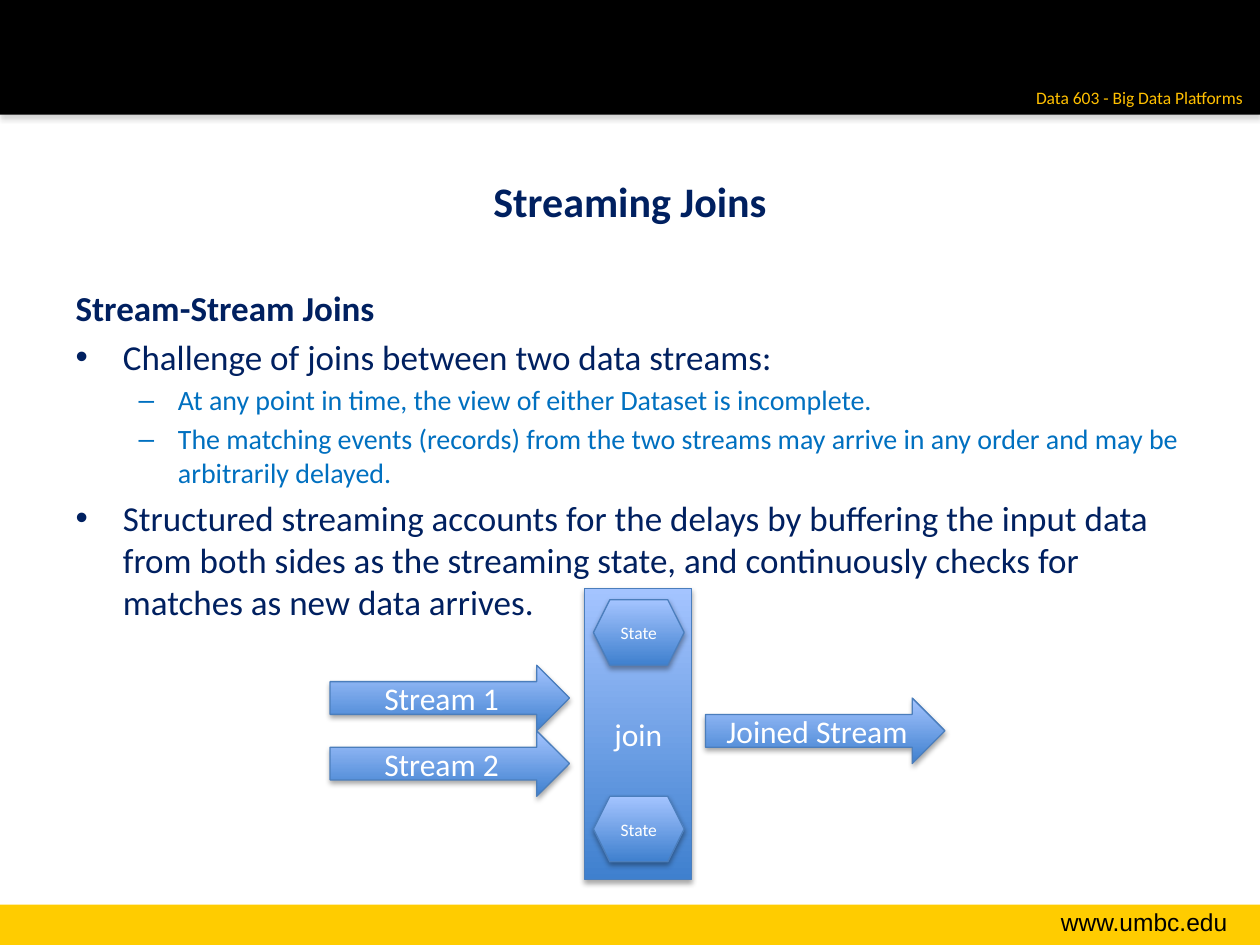
"""Build the Streaming Joins slide with its stream-stream join diagram."""
from lxml.etree import SubElement
from pptx import Presentation
from pptx.dml.color import RGBColor
from pptx.enum.shapes import MSO_SHAPE
from pptx.enum.text import MSO_ANCHOR, MSO_AUTO_SIZE, PP_ALIGN
from pptx.oxml.ns import qn
from pptx.util import Inches, Pt

COLORS = {
    "black": "000000", "white": "FFFFFF", "gold": "FFCC00", "amber": "FFC000",
    "navy": "002060", "blue": "0070C0", "outline": "4B7EBC",
    "dark": "3F80CE", "light": "A4C4FF", "gray": "808080",
}
TITLE = "Streaming Joins"
HEADING = "Stream-Stream Joins"
BULLETS = [
    (0, "Challenge of joins between two data streams:"),
    (1, "At any point in time, the view of either Dataset is incomplete."),
    (1, "The matching events (records) from the two streams may arrive in any order "
        "and may be arbitrarily delayed."),
    (0, "Structured streaming accounts for the delays by buffering the input data from "
        "both sides as the streaming state, and continuously checks for matches as new "
        "data arrives."),
]
LEVELS = [(20, "navy"), (16, "blue")]
LABELS = [
    ("www.umbc.edu", (7.85, 7.15, 1.99, 0.34), 14, "Arial", "black", True),
    ("Data 603 - Big Data Platforms", (8.09, 0.64, 1.87, 0.27), 10, "Calibri", "amber", False),
]
ROW = 0.52
STREAM_TOP = 5.28
ARROW_WIDTH = 1.9
INPUT_LEFT, OUTPUT_LEFT = 2.62, 5.6
STATE_LEFT, STATE_WIDTH = 4.71, 0.72
DIAGRAM = [
    ("join", MSO_SHAPE.RECTANGLE, (4.64, 4.67, 0.85, 2.31), 18),
    *[("State", MSO_SHAPE.HEXAGON, (STATE_LEFT, STREAM_TOP + row * ROW, STATE_WIDTH, ROW), 10)
      for row in (-1, 2)],
    *[(f"Stream {row + 1}", MSO_SHAPE.RIGHT_ARROW,
       (INPUT_LEFT, STREAM_TOP + row * ROW, ARROW_WIDTH, ROW), 18) for row in range(2)],
    ("Joined Stream", MSO_SHAPE.RIGHT_ARROW,
     (OUTPUT_LEFT, STREAM_TOP + ROW / 2, ARROW_WIDTH, ROW), 18),
]


def color(name):
    return RGBColor.from_string(COLORS[name])


def place(shape, box):
    shape.left, shape.top, shape.width, shape.height = map(Inches, box)


def add_run(paragraph, text, size, color_name, font="Calibri", bold=False):
    run = paragraph.add_run()
    run.text = text
    run.font.name, run.font.size, run.font.bold = font, Pt(size), bold
    run.font.color.rgb = color(color_name)


def add_shadow(shape, color_name):
    effects = shape.element.spPr.find(qn("a:effectLst"))
    shadow = SubElement(effects, qn("a:outerShdw"), blurRad=str(Pt(3.1)),
                        dist=str(Pt(1.8)), dir="5400000", rotWithShape="0")
    shade = SubElement(shadow, qn("a:srgbClr"), val=COLORS[color_name])
    SubElement(shade, qn("a:alpha"), val="35000")


def add_band(slide, box, color_name):
    band = slide.shapes.add_shape(MSO_SHAPE.RECTANGLE, *map(Inches, box))
    band.fill.solid()
    band.fill.fore_color.rgb = color(color_name)
    band.line.fill.background()
    band.shadow.inherit = False
    return band


def add_label(slide, text, box, size, font, color_name, wrap):
    frame = slide.shapes.add_textbox(*map(Inches, box)).text_frame
    frame.word_wrap = wrap
    frame.auto_size = MSO_AUTO_SIZE.SHAPE_TO_FIT_TEXT
    frame.paragraphs[0].alignment = PP_ALIGN.RIGHT
    add_run(frame.paragraphs[0], text, size, color_name, font)


def add_node(slide, text, kind, box, size):
    node = slide.shapes.add_shape(kind, *map(Inches, box))
    node.fill.gradient()
    node.fill.gradient_angle = 90
    for stop, name in zip(node.fill.gradient_stops, ("dark", "light")):
        stop.color.rgb = color(name)
    node.line.color.rgb = color("outline")
    node.line.width = Pt(0.75)
    node.shadow.inherit = False
    add_shadow(node, "black")
    node.text_frame.vertical_anchor = MSO_ANCHOR.MIDDLE
    paragraph = node.text_frame.paragraphs[0]
    paragraph.alignment = PP_ALIGN.CENTER
    add_run(paragraph, text, size, "white")


def fill_body(body):
    place(body, (0.5, 2.22, 9, 4.02))
    frame = body.text_frame
    frame.auto_size = MSO_AUTO_SIZE.NONE
    heading = frame.paragraphs[0]
    properties = heading._p.get_or_add_pPr()
    properties.set("marL", "0")
    properties.set("indent", "0")
    SubElement(properties, qn("a:buNone"))
    heading.space_before = Pt(0)
    add_run(heading, HEADING, 20, "navy", bold=True)
    for level, text in BULLETS:
        paragraph = frame.add_paragraph()
        paragraph.level = level
        add_run(paragraph, text, *LEVELS[level])


def main():
    presentation = Presentation()
    presentation.slide_width, presentation.slide_height = Inches(10), Inches(7.5)
    slide = presentation.slides.add_slide(presentation.slide_layouts[1])
    title, body = slide.placeholders
    place(title, (0.5, 0.97, 9, 1.25))
    title.text_frame.vertical_anchor = MSO_ANCHOR.MIDDLE
    title.text_frame.paragraphs[0].alignment = PP_ALIGN.CENTER
    add_run(title.text_frame.paragraphs[0], TITLE, 24, "navy", bold=True)
    fill_body(body)
    add_band(slide, (0, 7.18, 10, 0.32), "gold")
    add_shadow(add_band(slide, (0, 0, 10, 0.91), "black"), "gray")
    for label in LABELS:
        add_label(slide, *label)
    for node in DIAGRAM:
        add_node(slide, *node)
    presentation.save("out.pptx")


if __name__ == "__main__":
    main()
